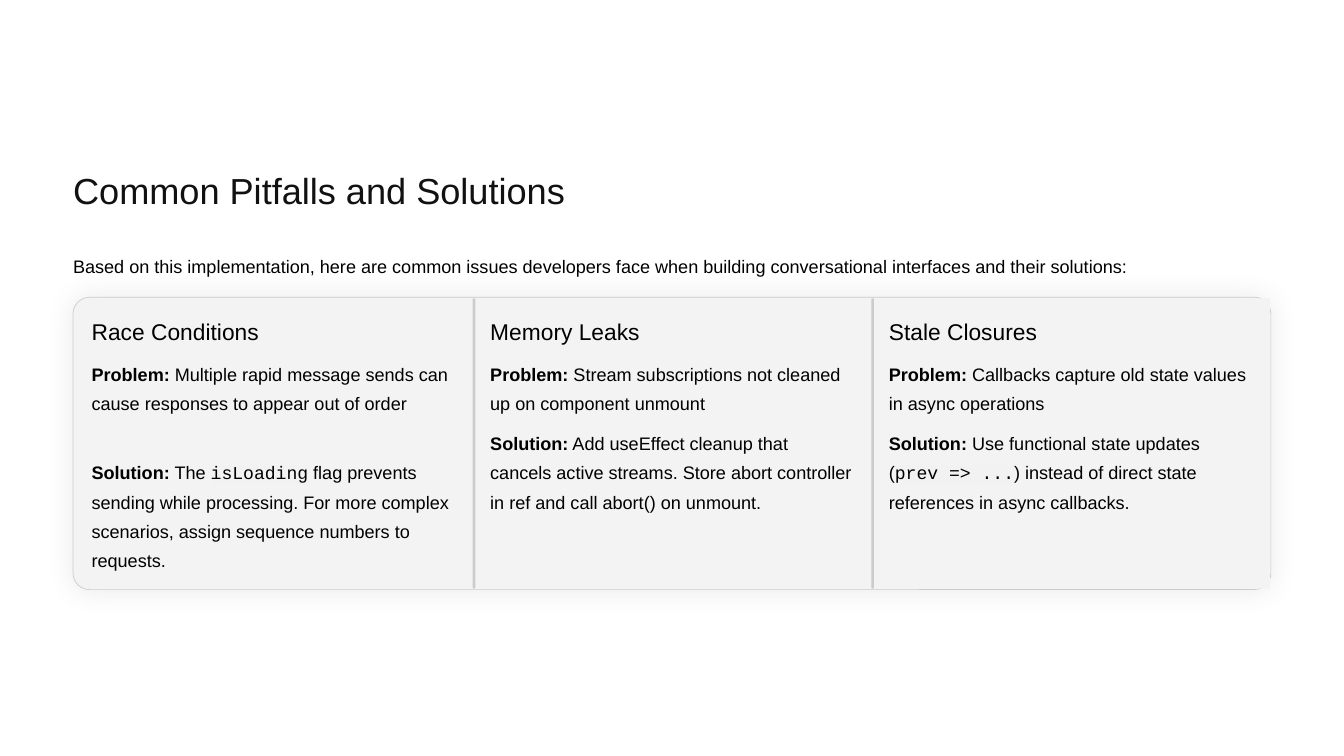
"""Builds the slide on common pitfalls and their solutions."""
from lxml import etree
from pptx import Presentation
from pptx.dml.color import RGBColor
from pptx.enum.shapes import MSO_SHAPE
from pptx.oxml.ns import qn
from pptx.util import Cm, Pt

RECTANGLE = MSO_SHAPE.RECTANGLE
ROUNDED = MSO_SHAPE.ROUNDED_RECTANGLE

TITLE = "Common Pitfalls and Solutions"
INTRO = ("Based on this implementation, here are common issues developers face "
         "when building conversational interfaces and their solutions:")
PITFALLS = [
    {
        "heading": "Race Conditions",
        "problem": [("Problem:", "bold"),
                    (" Multiple rapid message sends can cause responses to appear out of order", "plain")],
        "problem_lines": 3,
        "solution": [("Solution:", "bold"), (" The ", "plain"), ("isLoading", "code"),
                     (" flag prevents sending while processing. For more complex scenarios, "
                      "assign sequence numbers to requests.", "plain")],
        "solution_lines": 4,
    },
    {
        "heading": "Memory Leaks",
        "problem": [("Problem:", "bold"),
                    (" Stream subscriptions not cleaned up on component unmount", "plain")],
        "problem_lines": 2,
        "solution": [("Solution:", "bold"),
                     (" Add useEffect cleanup that cancels active streams. Store abort controller "
                      "in ref and call abort() on unmount.", "plain")],
        "solution_lines": 4,
    },
    {
        "heading": "Stale Closures",
        "problem": [("Problem:", "bold"),
                    (" Callbacks capture old state values in async operations", "plain")],
        "problem_lines": 2,
        "solution": [("Solution:", "bold"), (" Use functional state updates (", "plain"),
                     ("prev => ...", "code"),
                     (") instead of direct state references in async callbacks.", "plain")],
        "solution_lines": 3,
    },
]

TEXT_FONT, CODE_FONT = "Arial", "Courier New"
TITLE_INK, INK = "111111", "000000"
BACKGROUND, CARD, BORDER = "FFFFFF", "F3F3F3", "CCCCCC"
CODE_BACK, SHADOW = "F2F2F2", "333333"

LEFT, WIDTH = 2.21, 36.22
CARD_TOP, CARD_HEIGHT = 8.99, 8.84
EDGE, PADDING = 0.03, 0.53
CORNER = 0.056
DIVIDER_WIDTH = 0.08
COLUMN_WIDTH = (WIDTH - 2 * EDGE) / len(PITFALLS)
HEADING_TOP, BODY_TOP = 9.58, 10.77
LINE_HEIGHT, BODY_GAP = 0.88, 0.33
BODY_SIZE, BODY_SPACING = 15.5, 25


def color(value):
    return RGBColor.from_string(value)


def add_panel(slide, kind, left, top, width, height, fill, corner=None):
    shape = slide.shapes.add_shape(kind, Cm(left), Cm(top), Cm(width), Cm(height))
    shape.shadow.inherit = False
    shape.fill.solid()
    shape.fill.fore_color.rgb = color(fill)
    shape.line.fill.background()
    if corner is not None:
        shape.adjustments[0] = corner
    return shape


def add_soft_shadow(shape):
    effects = shape.element.spPr.find(qn("a:effectLst"))
    shadow = etree.SubElement(effects, qn("a:outerShdw"), blurRad=str(Pt(23.4)),
                              dist="0", dir="0", algn="ctr", rotWithShape="0")
    tint = etree.SubElement(shadow, qn("a:srgbClr"), val=SHADOW)
    etree.SubElement(tint, qn("a:alpha"), val="10000")


def add_highlight(run):
    highlight = etree.Element(qn("a:highlight"))
    etree.SubElement(highlight, qn("a:srgbClr"), val=CODE_BACK)
    run.font._element.insert(0, highlight)


def add_text(slide, left, top, width, height, parts, size, spacing, ink=INK, wrap=True):
    box = slide.shapes.add_textbox(Cm(left), Cm(top), Cm(width), Cm(height))
    frame = box.text_frame
    frame.word_wrap = wrap
    frame.margin_left = frame.margin_right = frame.margin_top = frame.margin_bottom = 0
    paragraph = frame.paragraphs[0]
    paragraph.line_spacing = Pt(spacing)
    paragraph.font.size = Pt(size)
    paragraph.font.name = TEXT_FONT
    paragraph.font.color.rgb = color(ink)
    for text, style in parts:
        run = paragraph.add_run()
        run.text = text
        if style == "bold":
            run.font.bold = True
        elif style == "code":
            run.font.name = CODE_FONT
            add_highlight(run)


def add_pitfall(slide, index, pitfall):
    left = LEFT + EDGE + index * COLUMN_WIDTH
    top, height = CARD_TOP + EDGE, CARD_HEIGHT - 2 * EDGE
    if index == 0:
        add_panel(slide, ROUNDED, left, top, COLUMN_WIDTH, height, CARD, CORNER)
    else:
        add_panel(slide, RECTANGLE, left, top, COLUMN_WIDTH, height, CARD)
        add_panel(slide, ROUNDED, left, top, DIVIDER_WIDTH, height, BORDER, 0.5)

    text_left, text_width = left + PADDING, COLUMN_WIDTH - 2 * PADDING
    add_text(slide, text_left, HEADING_TOP, text_width, 0.86,
             [(pitfall["heading"], "plain")], 19.5, 24, wrap=False)
    text_top = BODY_TOP
    for part in ("problem", "solution"):
        text_height = pitfall[part + "_lines"] * LINE_HEIGHT
        add_text(slide, text_left, text_top, text_width, text_height,
                 pitfall[part], BODY_SIZE, BODY_SPACING)
        text_top += text_height + BODY_GAP


def main():
    presentation = Presentation()
    presentation.slide_width, presentation.slide_height = Cm(40.64), Cm(22.86)
    slide = presentation.slides.add_slide(presentation.slide_layouts[6])
    slide.background.fill.solid()
    slide.background.fill.fore_color.rgb = color(BACKGROUND)

    add_text(slide, LEFT, 5.03, 16.03, 1.37, [(TITLE, "plain")], 31, 39, TITLE_INK, wrap=False)
    add_text(slide, LEFT, 7.49, WIDTH, 0.89, [(INTRO, "plain")],
             BODY_SIZE, BODY_SPACING, wrap=False)

    card = add_panel(slide, ROUNDED, LEFT, CARD_TOP, WIDTH, CARD_HEIGHT, CARD, CORNER)
    card.line.color.rgb = color(BORDER)
    card.line.width = Pt(0.6)
    add_soft_shadow(card)
    for index, pitfall in enumerate(PITFALLS):
        add_pitfall(slide, index, pitfall)

    presentation.save("out.pptx")


if __name__ == "__main__":
    main()
